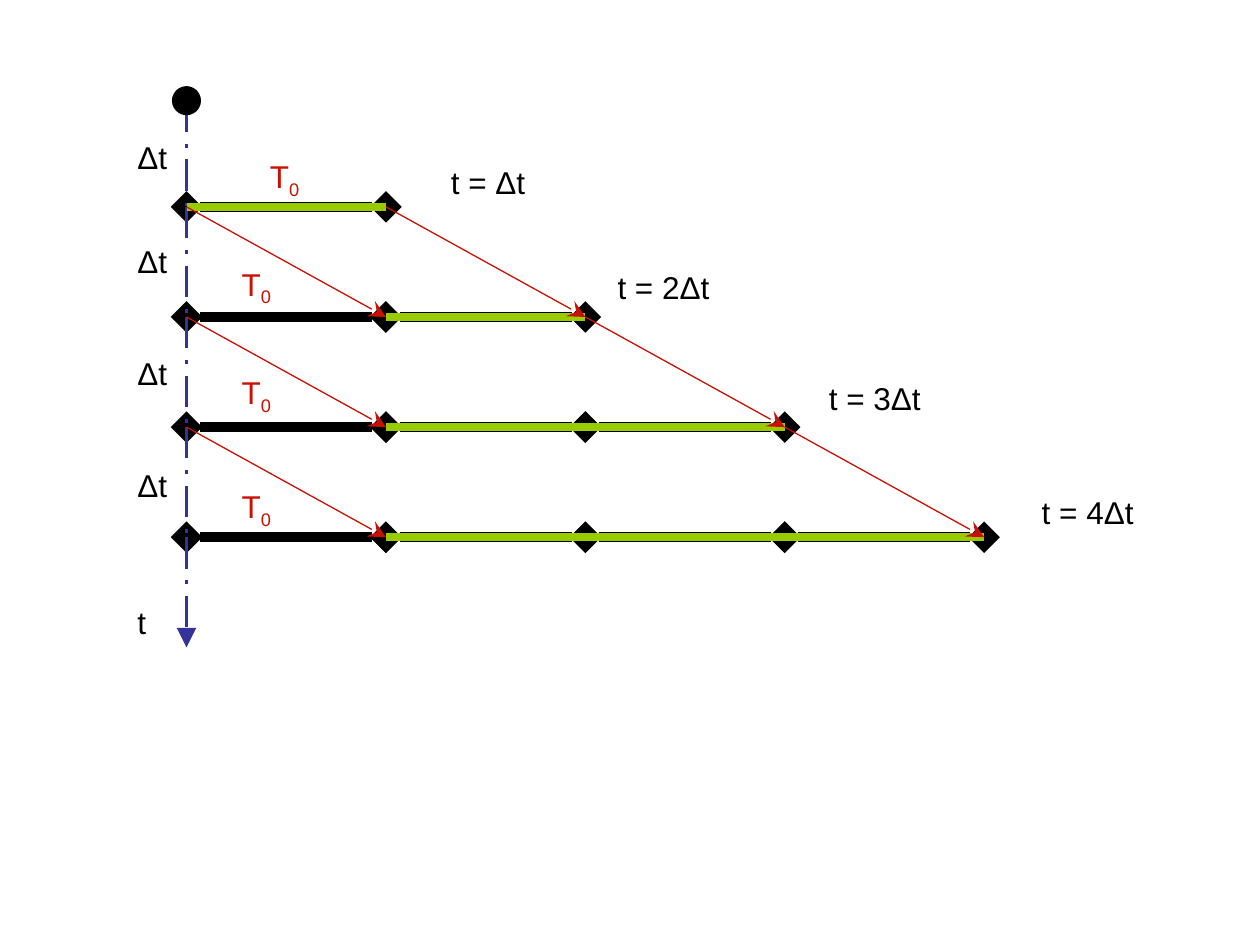
from dataclasses import dataclass
from typing import NamedTuple

from lxml.etree import SubElement
from pptx import Presentation
from pptx.dml.color import RGBColor
from pptx.enum.dml import MSO_LINE
from pptx.enum.shapes import MSO_CONNECTOR, MSO_SHAPE
from pptx.enum.text import MSO_AUTO_SIZE
from pptx.oxml.ns import qn
from pptx.util import Cm, Pt


@dataclass(frozen=True)
class Theme:
    ink: str = "000000"
    axis: str = "333399"
    front: str = "99CC00"
    shift: str = "C91002"
    font: str = "Arial"
    size: float = 18
    bar_w: float = 6
    front_w: float = 4.5
    axis_w: float = 2.25
    thin_w: float = 0.75


T = Theme()
X0, Y0, DX, DY = 3.76, 4.17, 4.02, 2.22
STEPS = 4
AXIS_TOP = 2.03
DOT = 0.56


class Point(NamedTuple):
    x: float
    y: float


class Label(NamedTuple):
    text: str
    x: float
    y: float
    w: float
    h: float = 1.02
    color: str = T.ink
    sub: str = ""
    wrap: bool = True


def node(col: int, row: int) -> Point:
    return Point(X0 + col * DX, Y0 + row * DY)


def add_line(s, start: Point, end: Point, color: str, width: float,
             head: str = "", tail: str = "", size: str = "med", dash=None):
    c = s.shapes.add_connector(MSO_CONNECTOR.STRAIGHT, Cm(start.x), Cm(start.y),
                               Cm(end.x), Cm(end.y))
    c.line.color.rgb = RGBColor.from_string(color)
    c.line.width = Pt(width)
    if dash is not None:
        c.line.dash_style = dash
    ln = c.line._get_or_add_ln()
    for tag, kind in (("a:headEnd", head), ("a:tailEnd", tail)):
        if kind:
            SubElement(ln, qn(tag), type=kind, w=size, len=size)
    SubElement(c._element.spPr, qn("a:effectLst"))
    return c


def add_run(p, text: str, *, color: str, baseline: int = 0):
    r = p.add_run()
    r.text = text
    r.font.name = T.font
    r.font.size = Pt(T.size)
    r.font.color.rgb = RGBColor.from_string(color)
    if baseline:
        r._r.get_or_add_rPr().set("baseline", str(baseline * 1000))
    return r


def add_label(s, label: Label):
    box = s.shapes.add_textbox(Cm(label.x), Cm(label.y), Cm(label.w), Cm(label.h))
    tf = box.text_frame
    tf.word_wrap = label.wrap
    tf.auto_size = MSO_AUTO_SIZE.SHAPE_TO_FIT_TEXT
    p = tf.paragraphs[0]
    add_run(p, label.text, color=label.color)
    if label.sub:
        add_run(p, label.sub, color=label.color, baseline=-25)
    return box


def add_bars(s):
    for row in range(STEPS):
        for col in range(row + 1):
            add_line(s, node(col, row), node(col + 1, row), T.ink, T.bar_w,
                     head="diamond", tail="diamond")


def add_axis(s):
    for row in range(STEPS):
        tail = "triangle" if row == STEPS - 1 else ""
        add_line(s, node(0, row), node(0, row + 1), T.axis, T.axis_w,
                 tail=tail, size="lg", dash=MSO_LINE.LONG_DASH_DOT)
    add_line(s, Point(X0, AXIS_TOP), node(0, 0), T.axis, T.axis_w,
             dash=MSO_LINE.LONG_DASH_DOT)
    dot = s.shapes.add_shape(MSO_SHAPE.OVAL, Cm(X0 - DOT / 2), Cm(AXIS_TOP - DOT / 2),
                             Cm(DOT), Cm(DOT))
    dot.shadow.inherit = False
    dot.fill.solid()
    dot.fill.fore_color.rgb = RGBColor.from_string(T.ink)
    dot.line.color.rgb = RGBColor.from_string(T.ink)
    dot.line.width = Pt(T.thin_w)


def add_labels(s):
    steps = [Label("Δt", 2.52, y, 1.24) for y in (2.66, 4.75, 7.01, 9.27)]
    times = [
        Label("t = Δt", 8.84, 3.17, 2.03),
        Label("t = 2Δt", 12.2, 5.28, 2.51),
        Label("t = 3Δt", 16.46, 7.52, 3.05),
        Label("t = 4Δt", 20.75, 9.82, 2.97),
    ]
    starts = [Label("T", x, y, 1.3, 1.12, T.shift, "0")
              for x, y in ((5.19, 3.04), (4.62, 5.21), (4.62, 7.39), (4.62, 9.7))]
    axis_name = Label("t", 2.52, 12.04, 0.69, wrap=False)
    for label in [*steps, *times, *starts, axis_name]:
        add_label(s, label)


def add_fronts(s):
    for row in range(STEPS):
        add_line(s, node(min(row, 1), row), node(row + 1, row), T.front, T.front_w)


def add_shifts(s):
    for row in range(STEPS - 1):
        for col in (0, row + 1):
            add_line(s, node(col, row), node(col + 1, row + 1), T.shift, T.thin_w,
                     tail="stealth", size="lg")


def main():
    prs = Presentation()
    prs.slide_width, prs.slide_height = Cm(25.4), Cm(19.05)
    s = prs.slides.add_slide(prs.slide_layouts[6])
    add_bars(s)
    add_axis(s)
    add_labels(s)
    add_fronts(s)
    add_shifts(s)
    prs.save("out.pptx")


if __name__ == "__main__":
    main()
